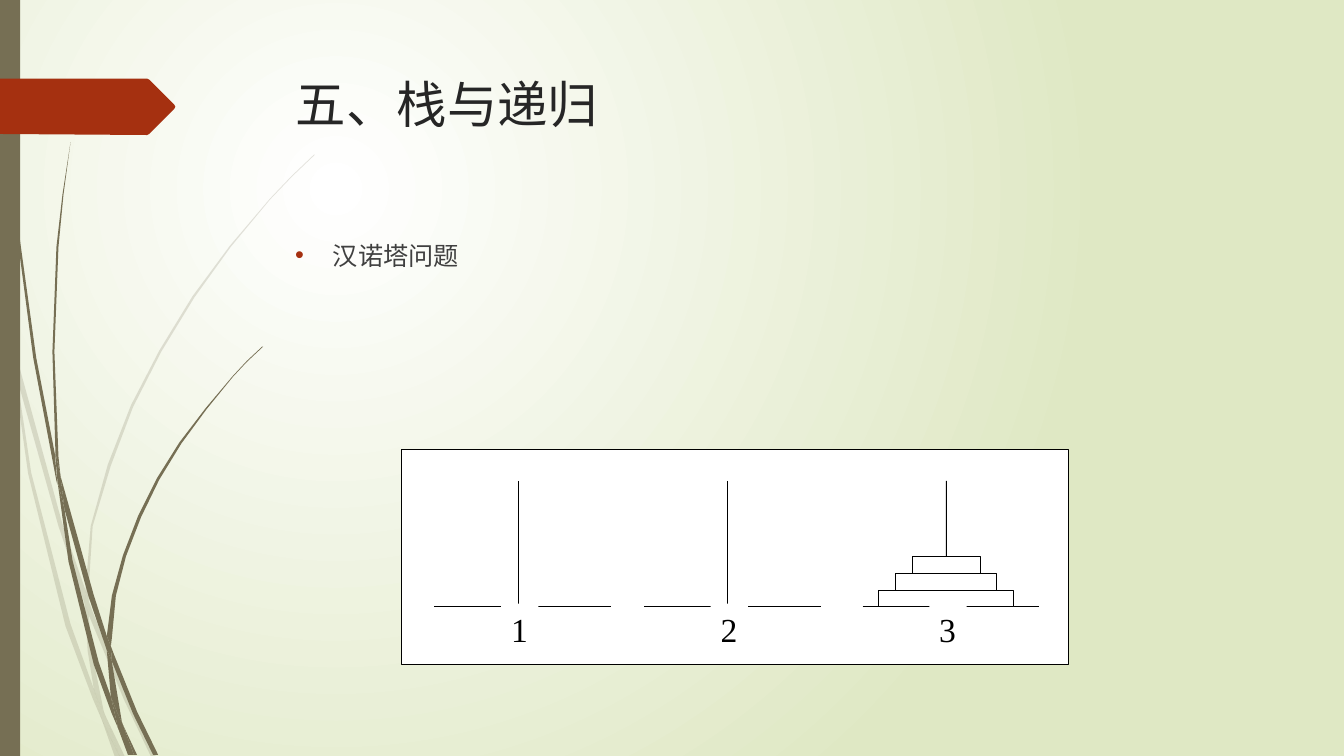
from lxml.etree import SubElement
from pptx import Presentation
from pptx.dml.color import RGBColor
from pptx.enum.shapes import MSO_CONNECTOR, MSO_SHAPE
from pptx.enum.text import MSO_ANCHOR, PP_ALIGN
from pptx.oxml.ns import qn
from pptx.util import Cm, Pt

WHITE = RGBColor(0xFF, 0xFF, 0xFF)
BLACK = RGBColor(0, 0, 0)
GREEN = RGBColor(0xDF, 0xE8, 0xC4)
OLIVE = RGBColor(0x76, 0x6F, 0x54)
RUST = RGBColor(0xA5, 0x30, 0x10)
TITLE = RGBColor(0x26, 0x26, 0x26)
BODY = RGBColor(0x40, 0x40, 0x40)
GRID = Cm(0.0254)

PALE_GRASS = [
    [(11, 350), (9, 322), (0, 282), (0, 299), (10, 344)],
    [(58, 522), (84, 599), (85, 586), (62, 520), (14, 345), (17, 376)],
    [(92, 607), (88, 596), (88, 610), (123, 694), (150, 751), (155, 751),
     (127, 692)],
    [(119, 751), (124, 751), (105, 711)],
    [(93, 683), (70, 619), (31, 469), (17, 376), (11, 350), (28, 470),
     (65, 621), (92, 693), (101, 714), (99, 707)],
    [(84, 599), (87, 646), (93, 683), (96, 692), (105, 711), (103, 706),
     (91, 646), (88, 610), (88, 608)],
    [(88, 584), (92, 522), (110, 462), (132, 404), (160, 349), (193, 295),
     (229, 245), (268, 198), (290, 175), (312, 154), (312, 153), (289, 175),
     (268, 197), (228, 244), (191, 294), (158, 348), (130, 402), (107, 461),
     (90, 522), (85, 584), (85, 586), (88, 596)],
    [(101, 714), (114, 751), (119, 751)],
    [(88, 608), (88, 610), (88, 596), (85, 586), (84, 599)],
    [(96, 692), (93, 683), (99, 707), (101, 714), (119, 751), (105, 711)],
]
DARK_GRASS = [
    [(7, 110), (17, 233), (33, 355), (56, 477), (57, 481), (55, 457),
     (55, 453), (36, 355), (19, 232), (8, 109), (5, 48), (4, 0), (3, 0),
     (4, 48)],
    [(88, 592), (106, 645), (106, 631), (93, 590), (60, 472), (64, 505)],
    [(113, 649), (110, 641), (111, 656), (132, 708), (152, 749), (157, 749),
     (136, 706)],
    [(110, 691), (98, 657), (72, 556), (64, 505), (57, 477), (68, 557),
     (93, 659), (111, 708), (117, 722), (116, 717)],
    [(60, 472), (58, 453), (54, 349), (58, 245), (63, 193), (70, 141),
     (62, 193), (56, 245), (52, 349), (55, 449)],
    [(133, 749), (136, 749), (122, 719)],
    [(57, 477), (64, 505), (60, 472), (55, 449), (55, 453)],
    [(111, 633), (115, 591), (125, 552), (140, 513), (158, 476), (180, 440),
     (205, 406), (231, 374), (245, 359), (261, 344), (260, 344), (245, 358),
     (231, 373), (204, 405), (178, 439), (156, 474), (137, 512), (122, 551),
     (111, 591), (106, 631), (110, 641)],
    [(117, 722), (127, 749), (131, 749)],
    [(106, 645), (110, 691), (116, 706), (122, 719), (121, 716), (111, 656),
     (109, 651)],
    [(106, 645), (109, 651), (111, 656), (110, 641), (106, 631)],
    [(116, 706), (110, 691), (116, 717), (117, 722), (130, 749), (133, 749),
     (122, 719)],
]
ARROW = [(0, 78), (146, 78), (148, 79), (173, 104), (174, 106), (173, 108),
         (148, 133), (146, 134), (0, 133)]


def paint(sp, fill, line=None):
    sp.shadow.inherit = False
    sp.fill.solid()
    sp.fill.fore_color.rgb = fill
    if line is None:
        sp.line.fill.background()
    else:
        sp.line.color.rgb = line
        sp.line.width = Pt(0.75)


def write(sp, text, font, size, color):
    tf = sp.text_frame
    tf.vertical_anchor = MSO_ANCHOR.TOP
    tf.text = text
    p = tf.paragraphs[0]
    p.alignment = PP_ALIGN.LEFT
    f = p.runs[0].font
    f.name, f.size, f.color.rgb = font, Pt(size), color
    return p


prs = Presentation()
prs.slide_width, prs.slide_height = Cm(33.87), Cm(19.05)
s = prs.slides.add_slide(prs.slide_layouts[6])

fill = s.background.fill
fill.gradient()
for stop, color in zip(fill.gradient_stops, (WHITE, GREEN)):
    stop.color.rgb = color
grad = next(s.element.iter(qn("a:gradFill")))
grad.remove(grad.find(qn("a:lin")))
circle = SubElement(grad, qn("a:path"), {"path": "circle"})
SubElement(circle, qn("a:fillToRect"),
           {"l": "50000", "t": "50000", "r": "100000", "b": "100000"})

for blades, alpha in ((PALE_GRASS, 20000), (DARK_GRASS, 100000)):
    grass = s.shapes.add_group_shape()
    for points in blades:
        fb = grass.shapes.build_freeform(*points[0], scale=GRID)
        fb.add_line_segments(points[1:])
        sp = fb.convert_to_shape()
        paint(sp, OLIVE)
        if alpha < 100000:
            rgb = next(sp.element.spPr.iter(qn("a:srgbClr")))
            SubElement(rgb, qn("a:alpha"), {"val": str(alpha)})

sp = s.shapes.add_shape(MSO_SHAPE.RECTANGLE, 0, 0, Cm(0.51), Cm(19.05))
paint(sp, OLIVE)
fb = s.shapes.build_freeform(*ARROW[0], scale=GRID)
fb.add_line_segments(ARROW[1:])
paint(fb.convert_to_shape(), RUST)

sp = s.shapes.add_textbox(Cm(7.21), Cm(1.73), Cm(24.77), Cm(3.56))
sp.text_frame.word_wrap = True
write(sp, "五、栈与递归", "League Spartan", 36, TITLE)

sp = s.shapes.add_textbox(Cm(7.19), Cm(5.92), Cm(24.77), Cm(10.49))
sp.text_frame.word_wrap = True
p = write(sp, "汉诺塔问题", "League Spartan", 18, BODY)
pPr = p._p.get_or_add_pPr()
pPr.set("marL", str(Cm(0.95)))
pPr.set("indent", str(-Cm(0.95)))
SubElement(SubElement(pPr, qn("a:buClr")), qn("a:srgbClr"), {"val": str(RUST)})
SubElement(pPr, qn("a:buFont"), {"typeface": "Arial"})
SubElement(pPr, qn("a:buChar"), {"char": "•"})

hanoi = s.shapes.add_group_shape().shapes
sp = hanoi.add_shape(MSO_SHAPE.RECTANGLE,
                     Cm(10.13), Cm(11.33), Cm(16.81), Cm(5.41))
paint(sp, WHITE, BLACK)

peg_lefts = (10.95, 16.23, 21.74)
base_y = 15.29
for left in peg_lefts:
    pole_x = left + 2.11
    for x1, y1, x2 in ((left, base_y, left + 4.45), (pole_x, 12.12, pole_x)):
        pole = hanoi.add_connector(MSO_CONNECTOR.STRAIGHT,
                                   Cm(x1), Cm(y1), Cm(x2), Cm(base_y))
        pole.line.color.rgb = BLACK
        pole.line.width = Pt(0.75)
        SubElement(pole._element.spPr, qn("a:effectLst"))

for i in range(3):
    disk = hanoi.add_shape(MSO_SHAPE.RECTANGLE, Cm(22.15 + 0.425 * i),
                           Cm(14.87 - 0.42 * i), Cm(3.4 - 0.85 * i), Cm(0.42))
    paint(disk, WHITE, BLACK)
    if i == 0:
        pole.end_connect(disk, 2)

for number, left in enumerate(peg_lefts, 1):
    sp = hanoi.add_shape(MSO_SHAPE.RECTANGLE,
                         Cm(left + 1.68), Cm(15.21), Cm(0.94), Cm(1.27))
    paint(sp, WHITE)
    sp.text_frame.word_wrap = False
    write(sp, str(number), "Times New Roman", 24, BLACK)

prs.save("out.pptx")
